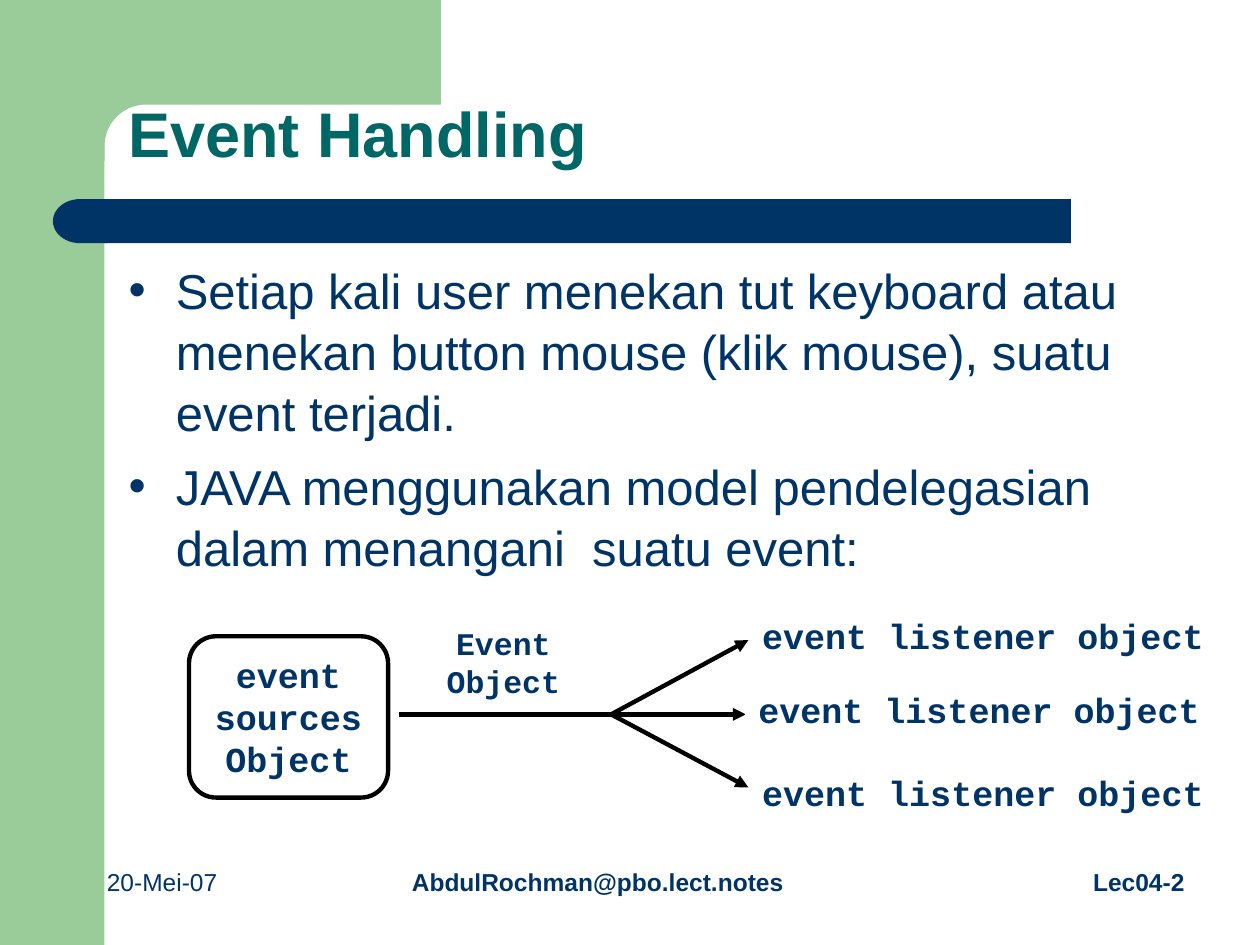
import math

import pptx
import pptx.dml.color
import pptx.enum.shapes
import pptx.enum.text
import pptx.oxml
import pptx.util
import pptx.oxml.ns

Inches = pptx.util.Inches
Pt = pptx.util.Pt
KIND = pptx.enum.shapes.MSO_SHAPE
ALIGN = pptx.enum.text.PP_ALIGN
ANCHOR = pptx.enum.text.MSO_ANCHOR

COLORS = {
    "leaf": "99CC99",
    "navy": "003366",
    "teal": "006666",
    "ink": "000000",
    "paper": "FFFFFF",
}


def tint(name):
    """Return the named colour."""
    return pptx.dml.color.RGBColor.from_string(COLORS[name])


def place(shape, box):
    """Move and size a shape to a box in inches."""
    shape.left, shape.top, shape.width, shape.height = map(Inches, box)


def paint(shape, fill, line=None, width=0.75):
    """Give a shape a flat fill, an optional line and no shadow."""
    shape.shadow.inherit = False
    shape.fill.solid()
    shape.fill.fore_color.rgb = tint(fill)
    if line:
        shape.line.color.rgb = tint(line)
        shape.line.width = Pt(width)
    else:
        shape.line.fill.background()


def block(slide, kind, box, fill, line=None, width=0.75):
    """Add a painted preset shape."""
    shape = slide.shapes.add_shape(kind, *map(Inches, box))
    paint(shape, fill, line, width)
    return shape


def write(par, text, size, color="navy", bold=False, face="Arial"):
    """Add text to a paragraph, one run per line."""
    for row, part in enumerate(text.split("\n")):
        if row:
            par.add_line_break()
        run = par.add_run()
        run.text = part
        run.font.name = face
        run.font.size = Pt(size)
        run.font.bold = bold
        run.font.color.rgb = tint(color)


def frame(slide, box):
    """Draw the green edge with its round inner corner, and the navy bar."""
    x, y, w, h = box
    side, top, reach, curve = 0.83, 0.83, 3.5, 0.33
    block(slide, KIND.RECTANGLE, (x, y, side, h), "leaf")
    arc = [
        (side + curve * (1 - math.sin(a)), top + curve * (1 - math.cos(a)))
        for a in (math.radians(step) for step in range(0, 91, 5))
    ]
    points = [(reach, 0), (reach, top), *arc, (side, 1.28), (0.5, 1.28), (0.5, 0)]
    spots = [(Inches(x + px), Inches(y + py)) for px, py in points]
    pen = slide.shapes.build_freeform(*spots[0])
    pen.add_line_segments(spots[1:], close=True)
    paint(pen.convert_to_shape(), "leaf")
    block(slide, KIND.RECTANGLE, (x + side, y + 1.58, 7.67, 0.35), "navy")
    cap = block(slide, KIND.FLOWCHART_DELAY, (x + 0.42, y + 1.58, 0.43, 0.35), "navy")
    cap.rotation = 180


def head(slide, box, text):
    """Fill the title placeholder."""
    title = slide.shapes.title
    place(title, box)
    slide.shapes._spTree.append(title._element)
    title.text_frame.auto_size = pptx.enum.text.MSO_AUTO_SIZE.NONE
    title.text_frame.vertical_anchor = ANCHOR.BOTTOM
    par = title.text_frame.paragraphs[0]
    par.alignment = ALIGN.LEFT
    par.line_spacing = 0.9
    write(par, text, 36, "teal", True)


def points(slide, box, items):
    """Fill the body placeholder with bullets."""
    body = slide.placeholders[1]
    place(body, box)
    slide.shapes._spTree.append(body._element)
    text = body.text_frame
    text.auto_size = pptx.enum.text.MSO_AUTO_SIZE.NONE
    for row, item in enumerate(items):
        par = text.add_paragraph() if row else text.paragraphs[0]
        par.space_before = Pt(7 if row else 0)
        par.line_spacing = 1.04
        write(par, item, 28)


def label(slide, kind, box, text, size, align, line="paper", width=0.75):
    """Add a white box with bold code-style text."""
    shape = block(slide, kind, box, "paper", line, width)
    shape.text_frame.word_wrap = True
    shape.text_frame.vertical_anchor = ANCHOR.MIDDLE
    par = shape.text_frame.paragraphs[0]
    par.alignment = align
    write(par, text, size, bold=True, face="Courier New")
    return shape


def arrow(slide, start, end):
    """Draw a black arrow between two points in inches."""
    link = slide.shapes.add_connector(
        pptx.enum.shapes.MSO_CONNECTOR.STRAIGHT, *map(Inches, start + end)
    )
    link.line.color.rgb = tint("ink")
    link.line.width = Pt(2.5)
    qn = pptx.oxml.ns.qn
    tip = link.line._get_or_add_ln().makeelement(qn("a:tailEnd"), {"type": "triangle"})
    link.line._get_or_add_ln().append(tip)
    props = link._element.spPr
    props.append(props.makeelement(qn("a:effectLst"), {}))


def flow(slide, box):
    """Draw the event source, the fork of arrows and the listeners."""
    x, y, w, h = box
    label(slide, KIND.ROUNDED_RECTANGLE, (x, y + 0.22, 1.58, 1.28),
          "event sources\nObject", 20, ALIGN.CENTER, "ink", 2.5)
    mid = y + 0.84
    fork = (x + 3.35, mid)
    arrow(slide, (x + 1.67, mid), (x + 4.42, mid))
    for rise in (-0.59, 0.58):
        arrow(slide, fork, (x + 4.44, mid + rise))
    label(slide, KIND.RECTANGLE, (x + 1.66, y + 0.09, 1.67, 0.67),
          "Event Object", 18, ALIGN.CENTER)
    for dx, dy in ((4.42, 0.59), (4.45, 0), (4.45, 1.25)):
        label(slide, KIND.RECTANGLE, (x + dx, y + dy, 3.75, 0.42),
              "event listener object", 20, ALIGN.LEFT)


def foot(slide, box):
    """Write the date, author and page along the bottom."""
    x, y, w, h = box
    parts = (
        (0, 2.33, "20-Mei-07", False, ALIGN.LEFT),
        (2.42, 3.58, "AbdulRochman@pbo.lect.notes", True, ALIGN.LEFT),
        (w - 2.33, 2.33, "Lec04-2", True, ALIGN.RIGHT),
    )
    for dx, wide, text, bold, align in parts:
        note = slide.shapes.add_textbox(*map(Inches, (x + dx, y, wide, h)))
        note.text_frame.word_wrap = True
        par = note.text_frame.paragraphs[0]
        par.alignment = align
        write(par, text, 14, bold=bold)


def main():
    """Build and save the slide."""
    deck = pptx.Presentation()
    deck.slide_width, deck.slide_height = Inches(10), Inches(7.5)
    slide = deck.slides.add_slide(deck.slide_layouts[1])
    frame(slide, (0, 0, 10, 7.5))
    foot(slide, (0.75, 6.83, 8.75, 0.34))
    head(slide, (0.92, 0.25, 8.5, 1.16), "Event Handling")
    points(slide, (0.92, 2, 8.41, 4.66), (
        "Setiap kali user menekan tut keyboard atau menekan button mouse "
        "(klik mouse), suatu event terjadi.",
        "JAVA menggunakan model pendelegasian dalam menangani  suatu event:",
    ))
    flow(slide, (1.5, 4.83, 8.2, 1.67))
    deck.save("out.pptx")


if __name__ == "__main__":
    main()
